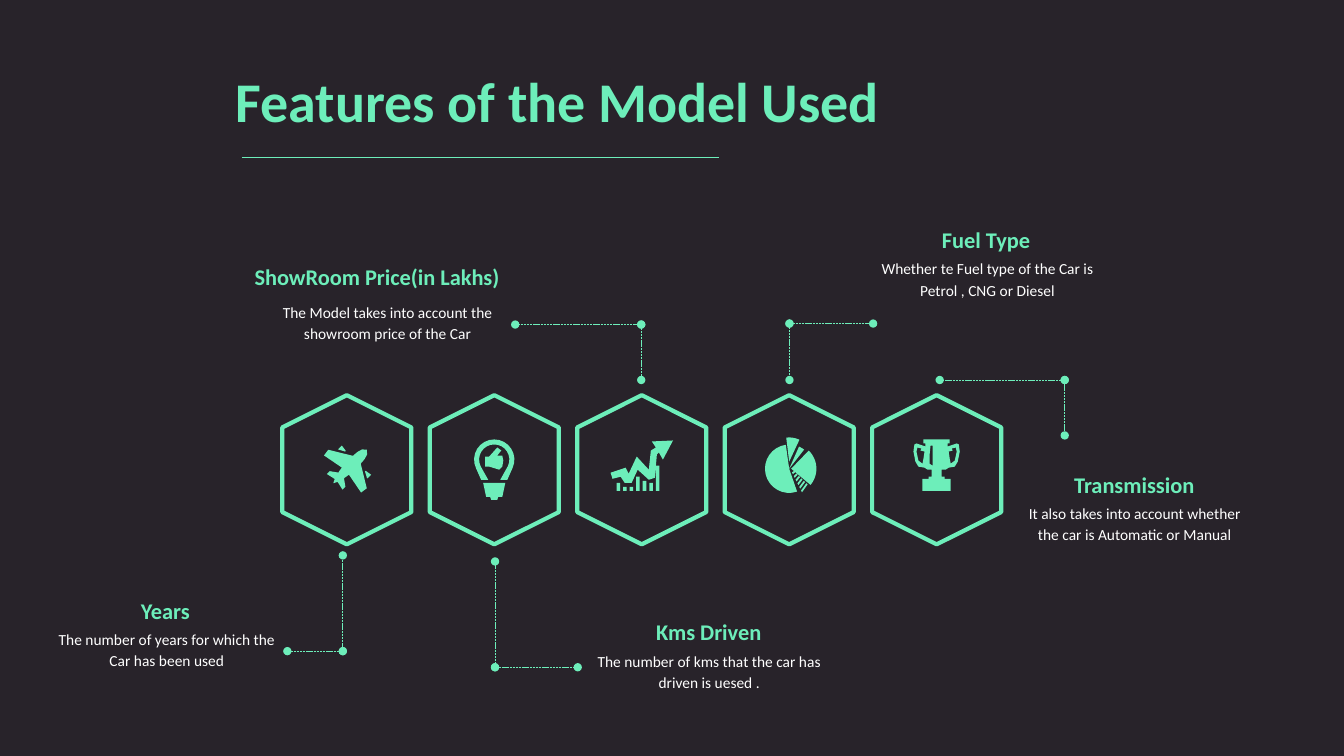
from dataclasses import dataclass
from math import cos, radians, sin, sqrt

from lxml import etree
from pptx import Presentation
from pptx.dml.color import RGBColor
from pptx.enum.dml import MSO_LINE
from pptx.enum.shapes import MSO_CONNECTOR, MSO_SHAPE
from pptx.enum.text import MSO_AUTO_SIZE, PP_ALIGN
from pptx.oxml.ns import qn
from pptx.util import Inches, Pt

HEXAGON = MSO_SHAPE.HEXAGON
STRAIGHT = MSO_CONNECTOR.STRAIGHT
DASH = MSO_LINE.SQUARE_DOT
CENTER = PP_ALIGN.CENTER
FIT = MSO_AUTO_SIZE.SHAPE_TO_FIT_TEXT


@dataclass
class Theme:
    background = RGBColor.from_string("28232A")
    accent = RGBColor.from_string("6DEEBA")
    body = RGBColor.from_string("FFFFFF")
    font = "Calibri"
    title_size = Pt(40)
    heading_size = Pt(16)
    body_size = Pt(11)


def arc(center_x, center_y, radius, start, end, steps=16):
    angles = [radians(start + (end - start) * step / steps) for step in range(steps + 1)]
    return [(center_x + radius * cos(angle), center_y + radius * sin(angle)) for angle in angles]


def mirror(points):
    return [(-x, y) for x, y in reversed(points)]


theme = Theme()
deck = Presentation()
deck.slide_width, deck.slide_height = Inches(13.33), Inches(7.5)
page = deck.slides.add_slide(deck.slide_layouts[6])
page.background.fill.solid()
page.background.fill.fore_color.rgb = theme.background

icon_unit = 0.01

half_fuselage = [(0, -28), (3.5, -25), (5, -20), (5.5, -14)]
half_wing = [(27, -1), (26, 6), (5, 2)]
half_tail = [(4, 8), (11, 13), (11, 17), (2, 15), (0, 19)]
half_plane = half_fuselage + half_wing + half_tail
engine = [(20.5, -13.5), (14, -12.5), (14, -11.5), (20.5, -8)]
upright_plane = [half_plane + mirror(half_plane), engine, mirror(engine)]
plane = [[((x - y) / sqrt(2), (x + y) / sqrt(2)) for x, y in outline]
         for outline in upright_plane]

glass_outside = arc(0, -10, 20, 155, 385) + [(13, 10)]
glass_inside = [(6, 10)] + arc(0, -10, 15, 385, 155) + [(-6, 10)]
half_socket = [(0, 13), (11, 13), (8, 27), (4, 27), (3, 30), (0, 30)]
thumb = [(-5, -13), (3, -22), (7, -19), (3, -14)]
fist = [(8, -14), (9, -9), (8, -3), (5, 0), (-5, -3), (-9, -3), (-9, -13)]
bulb = [glass_outside + glass_inside + [(-13, 10)],
        half_socket + mirror(half_socket), thumb + fist]

trend_top = [(-31, 3), (-16, -2), (-13, 4), (-5, -13), (7, 0), (9, -19), (14, -22)]
arrowhead = [(10, -28), (31, -29), (21, -10), (17, -17)]
trend_bottom = [(15, -15), (13, 8), (7, 10), (-4, 0), (-10, 13), (-17, 13), (-21, 7), (-29, 9)]
growth = [trend_top + arrowhead + trend_bottom]
bar_width, bar_step, bar_bottom = 3.5, 6.5, 21
for index, top in enumerate([13, 17, 17, 7, 11, 13, -4]):
    left = -25 + index * bar_step
    right = left + bar_width
    growth.append([(left, top), (right, top), (right, bar_bottom), (left, bar_bottom)])

slices = [(0, -1, 24, 71, 262), (2, -1, 25, -46, 40), (0, -8, 24, -97, -65), (0, -1, 24, -66, -52)]
pie = [[(hub_x, hub_y)] + arc(hub_x, hub_y, radius, start, end)
       for hub_x, hub_y, radius, start, end in slices]
for stripe in range(1, 7):
    near, far = stripe, stripe + 0.5
    pie.append([(1 + 1.8 * near, 3.6 * near - 1), (2 + 2.5 * near, 2.4 * near - 1),
                (2 + 2.5 * far, 2.4 * far - 1), (1 + 1.8 * far, 3.6 * far - 1)])

half_rim = [(0, -30), (13, -30), (13, -26), (11, -26), (11, -23)]
handle = [(20, -26), (22, -25), (23, -18), (21, -8), (18, -3), (12, -2)]
half_foot = [(9, 0), (5, 0), (5, 7), (8, 7), (8, 9), (14, 9), (14, 21), (0, 21)]
half_trophy = half_rim + handle + half_foot
handle_hole = [(14, -6), (13, -11), (12, -18), (16, -19), (15, -21), (19, -22), (20, -18), (18, -9)]
gleam = [(-4, -24), (-4, -4), (-7, -6), (-7, -14), (-6, -24)]
trophy = [half_trophy + mirror(half_trophy), handle_hole, mirror(handle_hole), gleam]

hexagon_left, hexagon_top, hexagon_width, hexagon_height = 2.70, 4.02, 1.48, 1.28
hexagon_step = 1.4625
for index, icon_outlines in enumerate([plane, bulb, growth, pie, trophy]):
    left = hexagon_left + index * hexagon_step
    hexagon = page.shapes.add_shape(
        HEXAGON, *map(Inches, (left, hexagon_top, hexagon_width, hexagon_height)))
    hexagon.rotation = 270
    hexagon.shadow.inherit = False
    hexagon.fill.background()
    hexagon.line.color.rgb = theme.accent
    hexagon.line.width = Pt(3)

    center_x, center_y = left + hexagon_width / 2, hexagon_top + hexagon_height / 2
    placed = [[(Inches(center_x + x * icon_unit), Inches(center_y + y * icon_unit))
               for x, y in outline] for outline in icon_outlines]
    builder = page.shapes.build_freeform(*placed[0][0])
    builder.add_line_segments(placed[0][1:])
    for outline in placed[1:]:
        builder.move_to(*outline[0])
        builder.add_line_segments(outline[1:])
    icon = builder.convert_to_shape()
    icon.shadow.inherit = False
    icon.fill.solid()
    icon.fill.fore_color.rgb = theme.accent
    icon.line.fill.background()

elbows = [
    ((4.91, 6.62), (5.73, 6.62), (4.91, 5.57)),
    ((6.36, 3.22), (5.11, 3.22), (6.36, 3.77)),
    ((7.83, 3.21), (8.66, 3.21), (7.83, 3.77)),
    ((10.56, 3.77), (9.32, 3.77), (10.56, 4.32)),
    ((3.40, 6.46), (2.85, 6.46), (3.40, 5.51)),
]
title_rule = ((2.4, 1.56), (7.13, 1.56), Pt(0.75), False)
leaders = [(corner, end, Pt(0.5), True) for corner, *ends in elbows for end in ends]
for start, end, width, dotted in [title_rule] + leaders:
    rule = page.shapes.add_connector(STRAIGHT, *map(Inches, start + end))
    rule.line.color.rgb = theme.accent
    rule.line.width = width
    etree.SubElement(rule._element.spPr, qn("a:effectLst"))
    if dotted:
        rule.line.dash_style = DASH
        for tag in ("a:headEnd", "a:tailEnd"):
            etree.SubElement(rule.line._ln, qn(tag), type="oval")

features = [
    ("ShowRoom Price(in Lakhs)", (2.33, 2.56, 2.82, 0.37), (2.61, 2.93),
     "The Model takes into account the showroom price of the Car"),
    ("Fuel Type", (8.47, 2.19, 2.62, 0.37), (8.56, 2.50),
     "Whether te Fuel type of the Car is Petrol , CNG or Diesel"),
    ("Transmission", (9.94, 4.62, 2.62, 0.37), (10.02, 4.93),
     "It also takes into account whether the car is Automatic or Manual"),
    ("Kms Driven", (5.72, 6.08, 2.62, 0.37), (5.80, 6.39),
     "The number of kms that the car has driven is uesed ."),
    ("Years", (0.33, 5.87, 2.62, 0.37), (0.42, 6.18),
     "The number of years for which the Car has been used"),
]
texts = [("Features of the Model Used", (2.24, 0.61, 6.71, 0.77),
          theme.title_size, theme.accent, 1)]
for heading, heading_place, body_corner, body in features:
    texts.append((heading, heading_place, theme.heading_size, theme.accent, 1))
    texts.append((body, body_corner + (2.47, 0.52), theme.body_size, theme.body, 1.14))

for text, place, size, color, spacing in texts:
    is_title = size == theme.title_size
    box = page.shapes.add_textbox(*map(Inches, place))
    box.text_frame.word_wrap = not is_title
    box.text_frame.auto_size = FIT
    para = box.text_frame.paragraphs[0]
    para.text = text
    para.line_spacing = spacing
    para.font.name = theme.font
    para.font.size = size
    para.font.bold = color == theme.accent
    para.font.color.rgb = color
    if not is_title:
        para.alignment = CENTER

deck.save("out.pptx")
